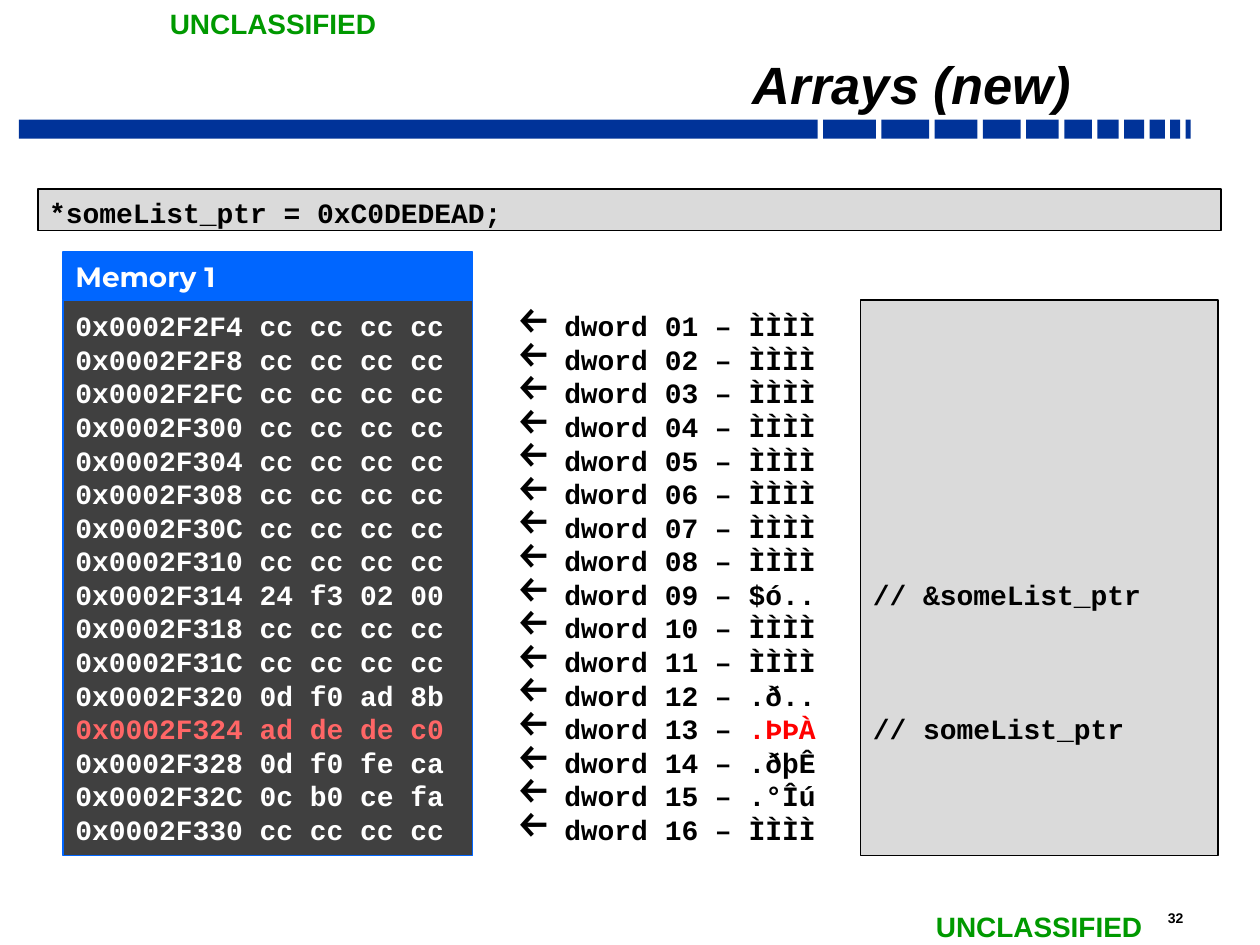
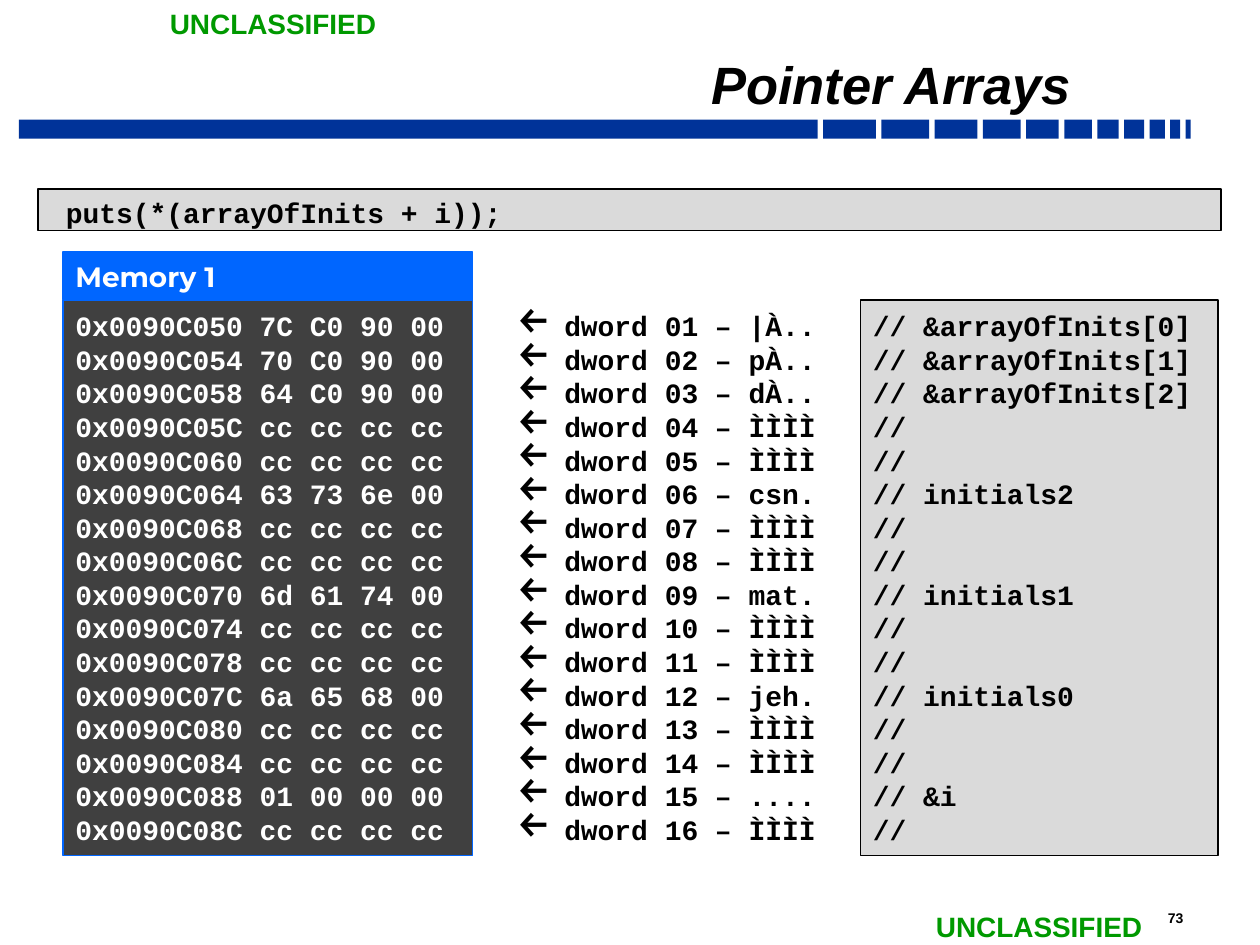
from collections import namedtuple
from dataclasses import dataclass

import pptx
import pptx.dml.color
import pptx.enum.shapes
import pptx.enum.text
import pptx.util
from lxml import etree
from pptx.oxml.ns import qn

ANCHOR = pptx.enum.text.MSO_ANCHOR
RIGHT = pptx.enum.text.PP_ALIGN.RIGHT
RECTANGLE = pptx.enum.shapes.MSO_SHAPE.RECTANGLE

# Lengths are columns and rows of a 40 by 30 grid.
WIDTH, HEIGHT = pptx.util.Inches(10), pptx.util.Inches(7.5)
COLUMN, ROW = WIDTH / 40, HEIGHT / 30
Box = namedtuple("Box", "left top width height")


@dataclass(frozen=True)
class Theme:
    sans: str = "Arial"
    code: str = "Courier New"
    heading: str = "Montserrat"
    black: str = "000000"
    white: str = "FFFFFF"
    band: str = "003399"
    marking: str = "009900"
    header: str = "0066FF"
    memory: str = "404040"
    panel: str = "DADADA"
    changed_bytes: str = "FF6666"
    changed_text: str = "FF0000"
    title_size: float = 30
    body_size: float = 16
    number_size: float = 8
    line_pitch: float = 19.2
    thin_line: float = 0.75
    panel_line: float = 1


THEME = Theme()
TITLE = Box(6.68, 1.4, 27.68, 2.36)
BAND = Box(0.6, 3.8, 37.2, 0.6)
BAND_WIDTHS = [25.36, 1.68, 1.52, 1.36, 1.2, 1.04, 0.88, 0.68, 0.64, 0.48, 0.32, 0.16]
MARKINGS = [Box(5, 0, 7.44, 1.48), Box(29.32, 28.68, 7.44, 1.48)]
PAGE_NUMBER = Box(36.68, 28.68, 2.16, 0.92)
COMMAND = Box(1.2, 6, 37.56, 1.32)
MEMORY = Box(2, 8, 13, 19.16)
HEADER_ROWS = 1.52
DWORDS = Box(16, 9.52, 22.72, 17.64)
NOTES = Box(27.32, 9.52, 11.36, 17.64)
DWORD_COUNT = 16
LISTING_INSET = 0.07
FILLER = ("cc cc cc cc", "ÌÌÌÌ")

SLIDES = [
    dict(
        title="Arrays (new)", number="32", command="*someList_ptr = 0xC0DEDEAD;",
        start=0x0002F2F4, changed=13,
        values={
            9: ("24 f3 02 00", "$ó.."),
            12: ("0d f0 ad 8b", ".ð.."),
            13: ("ad de de c0", ".ÞÞÀ"),
            14: ("0d f0 fe ca", ".ðþÊ"),
            15: ("0c b0 ce fa", ".°Îú"),
        },
        notes={9: "// &someList_ptr", 13: "// someList_ptr"},
    ),
    dict(
        title="Pointer Arrays", number="73", command=" puts(*(arrayOfInits + i));",
        start=0x0090C050, changed=None,
        values={
            1: ("7C C0 90 00", "|À.."),
            2: ("70 C0 90 00", "pÀ.."),
            3: ("64 C0 90 00", "dÀ.."),
            6: ("63 73 6e 00", "csn."),
            9: ("6d 61 74 00", "mat."),
            12: ("6a 65 68 00", "jeh."),
            15: ("01 00 00 00", "...."),
        },
        notes={row: "//" for row in range(1, DWORD_COUNT + 1)} | {
            1: "// &arrayOfInits[0]", 2: "// &arrayOfInits[1]", 3: "// &arrayOfInits[2]",
            6: "// initials2", 9: "// initials1", 12: "// initials0", 15: "// &i",
        },
    ),
]


def rgb(colour):
    return pptx.dml.color.RGBColor.from_string(colour)


def to_lengths(box):
    """Turn a box of grid cells into slide lengths."""
    return (round(box.left * COLUMN), round(box.top * ROW),
            round(box.width * COLUMN), round(box.height * ROW))


def style_font(font, colour, name=THEME.code, size=THEME.body_size, italic=False):
    font.name, font.size = name, pptx.util.Pt(size)
    font.bold, font.italic = True, italic
    font.color.rgb = rgb(colour)


def set_frame(frame, anchor=ANCHOR.TOP, side=0.1, top=0.05, bottom=0.05, wrap=True):
    frame.word_wrap = wrap
    frame.vertical_anchor = anchor
    frame.margin_left = frame.margin_right = pptx.util.Inches(side)
    frame.margin_top, frame.margin_bottom = pptx.util.Inches(top), pptx.util.Inches(bottom)


def add_rectangle(page, box, fill, line=None, line_width=THEME.thin_line):
    shape = page.shapes.add_shape(RECTANGLE, *to_lengths(box))
    shape.shadow.inherit = False
    shape.fill.solid()
    shape.fill.fore_color.rgb = rgb(fill)
    if line:
        shape.line.color.rgb = rgb(line)
        shape.line.width = pptx.util.Pt(line_width)
    else:
        shape.line.fill.background()
    return shape


def write_line(frame, text, colour, **font):
    para = frame.paragraphs[0]
    para.text = text
    para.alignment = pptx.enum.text.PP_ALIGN.LEFT
    style_font(para.font, colour, **font)


def add_label(page, box, text, colour, size, wrap=True):
    frame = page.shapes.add_textbox(*to_lengths(box)).text_frame
    set_frame(frame, wrap=wrap)
    write_line(frame, text, colour, name=THEME.sans, size=size)


def add_listing_line(frame, index):
    """Return the paragraph for a line of a listing, set to the common pitch."""
    para = frame.add_paragraph() if index else frame.paragraphs[0]
    para.alignment = pptx.enum.text.PP_ALIGN.LEFT
    para.line_spacing = pptx.util.Pt(THEME.line_pitch)
    return para


def add_arrow_bullet(para):
    properties = para._p.get_or_add_pPr()
    indent = pptx.util.Inches(0.38)
    properties.set("marL", str(indent))
    properties.set("indent", str(-indent))
    colour = etree.SubElement(properties, qn("a:buClr"))
    etree.SubElement(colour, qn("a:srgbClr"), val=THEME.black)
    etree.SubElement(properties, qn("a:buSzPct"), val="150000")
    etree.SubElement(properties, qn("a:buChar"), char="←")


def add_band(page, box):
    """Draw blocks of shrinking width, with equal gaps, across the box."""
    gap = (box.width - sum(BAND_WIDTHS)) / (len(BAND_WIDTHS) - 1)
    left = box.left
    for width in BAND_WIDTHS:
        add_rectangle(page, box._replace(left=left, width=width), THEME.band)
        left += width + gap


def add_title(page, box, text):
    title = page.shapes.title
    title.left, title.top, title.width, title.height = to_lengths(box)
    set_frame(title.text_frame, ANCHOR.BOTTOM, side=0.09, top=0.04, bottom=0.04)
    write_line(title.text_frame, text, THEME.black, name=THEME.sans,
               size=THEME.title_size, italic=True)
    para = title.text_frame.paragraphs[0]
    para.alignment, para.line_spacing = RIGHT, 0.7


def add_furniture(page, title, number):
    """Add the title, band, markings and page number every slide shares."""
    add_band(page, BAND)
    add_label(page, PAGE_NUMBER, number, THEME.black, THEME.number_size)
    for box in MARKINGS:
        add_label(page, box, "UNCLASSIFIED", THEME.marking, THEME.body_size, wrap=False)
    add_title(page, TITLE, title)


def add_memory(page, box, start, values, changed):
    header = add_rectangle(page, box._replace(height=HEADER_ROWS), THEME.header, THEME.header)
    set_frame(header.text_frame, ANCHOR.MIDDLE)
    write_line(header.text_frame, "Memory 1", THEME.white, name=THEME.heading)

    body = box._replace(top=box.top + HEADER_ROWS, height=box.height - HEADER_ROWS)
    frame = add_rectangle(page, body, THEME.memory, THEME.header).text_frame
    set_frame(frame, top=LISTING_INSET)
    for index in range(DWORD_COUNT):
        row = index + 1
        content = values.get(row, FILLER)[0]
        para = add_listing_line(frame, index)
        para.text = f"0x{start + 4 * index:08X} {content}"
        style_font(para.font, THEME.changed_bytes if row == changed else THEME.white)


def add_dwords(page, box, values, changed):
    frame = page.shapes.add_textbox(*to_lengths(box)).text_frame
    set_frame(frame, top=LISTING_INSET)
    for index in range(DWORD_COUNT):
        row = index + 1
        para = add_listing_line(frame, index)
        add_arrow_bullet(para)
        style_font(para.font, THEME.black)
        para.add_run().text = f"dword {row:02} – "
        span = para.add_run()
        span.text = values.get(row, FILLER)[1]
        if row == changed:
            span.font.color.rgb = rgb(THEME.changed_text)


def add_command(page, box, command):
    bar = add_rectangle(page, box, THEME.panel, THEME.black, THEME.panel_line)
    set_frame(bar.text_frame, ANCHOR.MIDDLE, side=0.09, top=0.08, bottom=0.04)
    write_line(bar.text_frame, command, THEME.black)


def add_notes(page, box, notes):
    """Set each note level with its dword row, spacing over the empty rows."""
    frame = add_rectangle(page, box, THEME.panel, THEME.black, THEME.panel_line).text_frame
    rows = sorted(notes)
    skipped_height = (rows[0] - 1) * THEME.line_pitch / 72
    set_frame(frame, top=LISTING_INSET + skipped_height)
    for index, row in enumerate(rows):
        para = add_listing_line(frame, index)
        if index:
            para.space_before = pptx.util.Pt((row - rows[index - 1] - 1) * THEME.line_pitch)
        para.text = notes[row]
        style_font(para.font, THEME.black)


def add_memory_slide(deck, title, number, command, start, changed, values, notes):
    page = deck.slides.add_slide(deck.slide_layouts.get_by_name("Title Only"))
    add_furniture(page, title, number)
    add_memory(page, MEMORY, start, values, changed)
    add_dwords(page, DWORDS, values, changed)
    add_command(page, COMMAND, command)
    add_notes(page, NOTES, notes)


def main():
    deck = pptx.Presentation()
    deck.slide_width, deck.slide_height = WIDTH, HEIGHT
    for content in SLIDES:
        add_memory_slide(deck, **content)
    deck.save("out.pptx")


if __name__ == "__main__":
    main()
